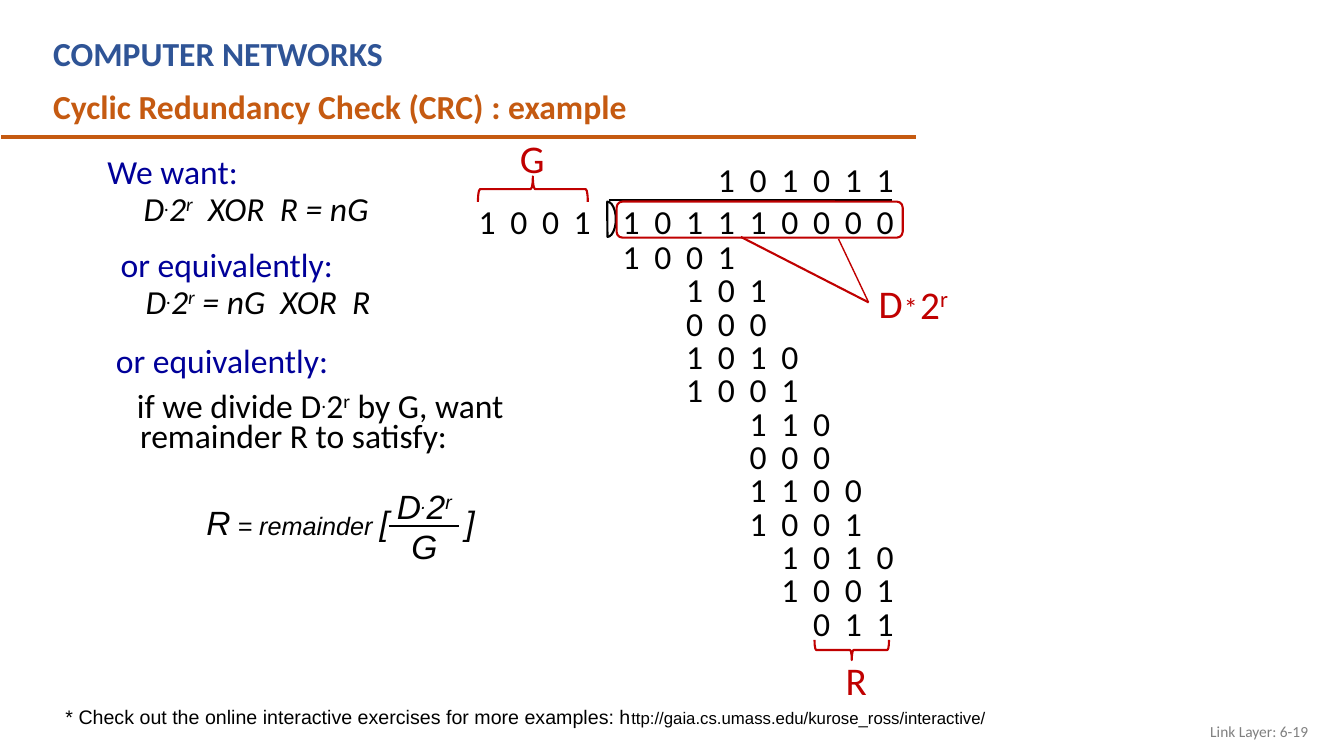
"""Build the slide with a worked example of the cyclic redundancy check."""
from lxml import etree
from pptx import Presentation
from pptx import util as u
from pptx.dml.color import RGBColor
from pptx.enum import shapes, text
from pptx.oxml.ns import qn

COLORS = {"black": "000000", "navy": "000099", "red": "C00000",
          "blue": "2F5496", "orange": "C55A11", "gray": "7F7F7F"}
ALIGN = {"l": text.PP_ALIGN.LEFT, "c": text.PP_ALIGN.CENTER, "r": text.PP_ALIGN.RIGHT}
PITCH = 0.8
FIRST_COL, FIRST_ROW, ROW_STEP = 15.44, 5.82, 0.84
UP = {"base": 30}
POWER = [("D", {}), (".", UP), ("2", {}), ("r", UP)]
GAP = (" ", {"spc": 5.4})


class Slide:
    def __init__(self, prs):
        self.s = prs.slides.add_slide(prs.slide_layouts[6])
        self.font = "Calibri"

    def color(self, name):
        return RGBColor.from_string(COLORS[name])

    def run(self, p, wording, size, color="black", font=None, bold=False,
            italic=False, base=0, spc=0):
        r = p.add_run()
        r.text = wording
        f = r.font
        f.size, f.name, f.bold, f.italic = u.Pt(size), font or self.font, bold, italic
        f.color.rgb = self.color(color)
        for key, value in (("baseline", base * 1000), ("spc", round(spc * 100))):
            if value:
                r._r.get_or_add_rPr().set(key, str(value))

    def paragraph(self, p, runs, align="l", indent=None, tabs=(), level=0,
                  spacing=None, before=None, **style):
        pPr = p._p.get_or_add_pPr()
        if indent:
            pPr.set("marL", str(u.Cm(indent[0])))
            pPr.set("indent", str(u.Cm(indent[1])))
        if tabs:
            stops = etree.SubElement(pPr, qn("a:tabLst"))
            for pos in tabs:
                etree.SubElement(stops, qn("a:tab"), pos=str(u.Cm(pos)), algn="l")
        p.alignment, p.level = ALIGN[align], level
        if spacing:
            p.line_spacing = spacing
        if before:
            p.space_before = u.Pt(before)
        for wording, change in runs:
            self.run(p, wording, **{**style, **change})

    def box(self, x, y, w, h, *paragraphs, middle=False):
        sp = self.s.shapes.add_textbox(u.Cm(x), u.Cm(y), u.Cm(w), u.Cm(h))
        tf = sp.text_frame
        tf.word_wrap = True
        tf.vertical_anchor = text.MSO_ANCHOR.MIDDLE if middle else text.MSO_ANCHOR.TOP
        for i, par in enumerate(paragraphs):
            self.paragraph(tf.add_paragraph() if i else tf.paragraphs[0], **par)

    def label(self, x, y, w, h, wording, size, middle=False, **style):
        self.box(x, y, w, h, dict(runs=[(wording, {})], size=size, **style), middle=middle)

    def digits(self, x, y, bits):
        n = len(bits)
        self.label(x, y, PITCH * n + 0.2, 1.27, "\t".join(bits), 24,
                   tabs=[PITCH * i for i in range(1, n)])

    def line(self, x1, y1, x2, y2, color, width=1.5):
        c = self.s.shapes.add_connector(shapes.MSO_CONNECTOR.STRAIGHT,
                                        u.Cm(x1), u.Cm(y1), u.Cm(x2), u.Cm(y2))
        c.line.color.rgb, c.line.width = self.color(color), u.Pt(width)
        etree.SubElement(c._element.spPr, qn("a:effectLst"))

    def outline(self, kind, x, y, w, h, color, adjust, rotation=0):
        sp = self.s.shapes.add_shape(kind, u.Cm(x), u.Cm(y), u.Cm(w), u.Cm(h))
        sp.shadow.inherit = False
        sp.fill.background()
        sp.line.color.rgb, sp.line.width = self.color(color), u.Pt(1.5)
        sp.rotation = rotation
        for i, value in enumerate(adjust):
            sp.adjustments[i] = value


def draw_header(s):
    s.label(1.09, 0.71, 20.83, 1.27, "COMPUTER NETWORKS", 24, color="blue", bold=True)
    s.label(1.09, 2.03, 15.11, 1.27, "Cyclic Redundancy Check (CRC) : example", 24,
            color="orange", bold=True)
    s.line(0.03, 3.45, 23.09, 3.45, "orange", 3)


def draw_conditions(s):
    body = dict(size=24, spacing=0.75)
    formula = dict(body, level=1, indent=(1.93, -0.64), before=5, italic=True)
    xor = [GAP, ("XOR", {}), GAP, ("R", {})]

    def heading(wording, hang):
        return dict(body, runs=[(wording, {})], indent=(0.99, hang), color="navy")

    s.box(2.08, 3.91, 13.84, 2.9, heading("We want:", -0.61),
          dict(formula, runs=POWER + xor + [(" = nG", {})]))
    s.box(2.13, 6.25, 13.84, 2.44, heading("or equivalently:", -0.33),
          dict(formula, runs=POWER + [(" = nG", {})] + xor))
    s.box(2.01, 8.69, 13.84, 3.48, heading("or equivalently:", -0.33),
          dict(body, indent=(1.27, -0.08), before=10,
               runs=[("if we divide ", {})] + POWER
               + [(" by G, want remainder R to satisfy:", {})]))


def draw_remainder(s):
    style = dict(size=24, font="Arial", italic=True)
    s.box(8.84, 12.12, 3.71, 2.29, dict(style, runs=POWER, align="c"),
          dict(style, runs=[("G", {})], align="c"))
    s.line(9.8, 13.26, 11.56, 13.26, "black")
    s.box(4.95, 12.52, 7.75, 1.32,
          dict(style, tabs=[6.53],
               runs=[("R", {}), (" = remainder ", {"size": 18}), ("[\t]", {})]))


def draw_division(s):
    for col, bits in ((3, "1"), (4, "0"), (5, "1"), (6, "011")):
        s.digits(FIRST_COL + col * PITCH, 3.87, bits)
    s.digits(11.81, 4.93, "1001")
    for col, bits in ((0, "101110"), (6, "000")):
        s.digits(FIRST_COL + col * PITCH, 4.93, bits)
    steps = ((0, "1001"), (2, "101"), (2, "000"), (2, "1010"), (2, "1001"), (4, "110"),
             (4, "000"), (4, "1100"), (4, "1001"), (5, "1010"), (5, "1001"), (6, "011"))
    for row, (col, bits) in enumerate(steps):
        s.digits(FIRST_COL + col * PITCH, FIRST_ROW + row * ROW_STEP, bits)
    s.line(15.34, 5.05, 22.48, 5.05, "black")
    s.outline(shapes.MSO_SHAPE.PIE, 14.86, 5.31, 0.89, 0.43, "black", (0, 107.535), 270)


def draw_marks(s):
    brace = shapes.MSO_SHAPE.RIGHT_BRACE
    s.outline(shapes.MSO_SHAPE.ROUNDED_RECTANGLE, 15.54, 5.08, 7.21, 0.91, "red", (0.167,))
    s.outline(brace, 13.11, 3.38, 0.64, 2.77, "red", (0.083, 0.5), 270)
    s.outline(brace, 21.21, 15.44, 0.51, 1.88, "red", (0.083, 0.5), 90)
    s.line(18.67, 5.97, 21.89, 7.62, "red")
    s.line(21.13, 6.02, 21.89, 7.62, "red", 1)
    for x, y, letter in ((12.85, 3.25, "G"), (21.06, 16.41, "R"), (21.89, 6.91, "D")):
        s.label(x, y, 1.14, 1.45, letter, 28, color="red")
    s.label(22.53, 7.19, 0.86, 1.12, "*", 20, color="red")
    s.box(22.94, 6.93, 1.3, 1.45, dict(runs=[("2", {}), ("r", UP)], size=28, color="red"))


def draw_footer(s):
    s.box(1.4, 17.65, 26.49, 0.86, dict(size=14, font="Arial", runs=[
        ("* Check out the online interactive exercises for more examples: h", {}),
        ("ttp://gaia.cs.umass.edu/kurose_ross/interactive/", {"size": 12})]))
    s.label(25.6, 17.91, 7.62, 1.02, "Link Layer: 6-19", 11, middle=True,
            color="gray", align="r")


def main():
    prs = Presentation()
    prs.slide_width, prs.slide_height = u.Cm(33.87), u.Cm(19.05)
    s = Slide(prs)
    for draw in (draw_header, draw_conditions, draw_remainder, draw_division,
                 draw_marks, draw_footer):
        draw(s)
    prs.save("out.pptx")


if __name__ == "__main__":
    main()
